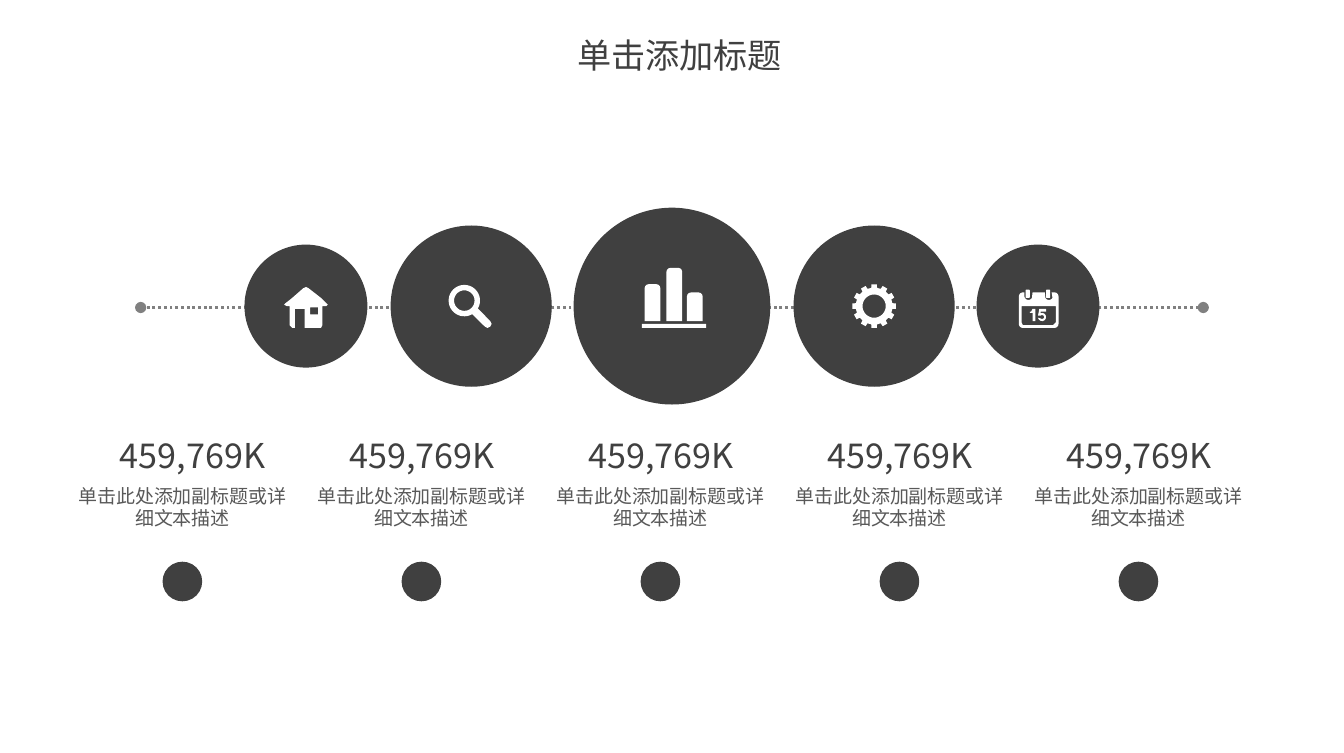
from dataclasses import dataclass
from math import cos, radians, sin

from lxml.etree import SubElement
from pptx import Presentation
from pptx.dml.color import RGBColor
from pptx.enum.dml import MSO_LINE
from pptx.enum.shapes import MSO_CONNECTOR, MSO_SHAPE as Preset
from pptx.enum.text import MSO_ANCHOR, MSO_AUTO_SIZE, PP_ALIGN
from pptx.oxml.ns import qn
from pptx.util import Inches, Pt


@dataclass(frozen=True)
class Theme:
    font: str = "Noto Sans CJK SC"
    dark: str = "404040"
    body: str = "595959"
    line: str = "808080"
    white: str = "FFFFFF"
    large: int = 18
    small: int = 10


theme = Theme()
presentation = Presentation()
presentation.slide_width = Inches(9.84)
presentation.slide_height = Inches(5.51)
slide = presentation.slides.add_slide(presentation.slide_layouts[6])
shapes = slide.shapes
painted = []  # (shape, colour)


def arc(x, y, radius, start, end, steps=8):
    """Points along a circle, angles in degrees, clockwise from the right."""
    angles = [radians(start + (end - start) * i / steps) for i in range(steps + 1)]
    return [(x + radius * cos(a), y + radius * sin(a)) for a in angles]


def add_outline(*contours):
    """One white icon part; contours after the first are holes."""
    builder = None
    for contour in contours:
        points = [(Inches(x), Inches(y)) for x, y in contour]
        if builder is None:
            builder = shapes.build_freeform(*points[0])
        else:
            builder.move_to(*points[0])
        builder.add_line_segments(points[1:], close=True)
    painted.append((builder.convert_to_shape(), theme.white))


# Dotted axis with round ends
axis = shapes.add_connector(
    MSO_CONNECTOR.STRAIGHT, Inches(8.81), Inches(2.25), Inches(1.03), Inches(2.25))
axis.line.color.rgb = RGBColor.from_string(theme.line)
axis.line.width = Pt(1.5)
axis.line.dash_style = MSO_LINE.ROUND_DOT
axis_properties = axis._element.spPr
for end in ("a:headEnd", "a:tailEnd"):
    SubElement(axis_properties.find(qn("a:ln")), qn(end), type="oval")
SubElement(axis_properties, qn("a:effectLst"))

# Circles on the axis: centre x, diameter
for center, size in ((2.24, 0.9), (3.45, 1.18), (4.92, 1.44), (6.4, 1.18), (7.6, 0.9)):
    circle = shapes.add_shape(Preset.OVAL, Inches(center - size / 2),
                              Inches(2.24 - size / 2), Inches(size), Inches(size))
    painted.append((circle, theme.dark))

# House icon
add_outline(
    [(2.39, 2.22), (2.35, 2.18), (2.26, 2.11), (2.24, 2.1), (2.22, 2.11), (2.14, 2.18),
     (2.09, 2.22), (2.08, 2.23), (2.1, 2.24), (2.12, 2.24), (2.12, 2.38), (2.14, 2.4),
     (2.16, 2.4), (2.16, 2.26), (2.23, 2.26), (2.23, 2.4), (2.35, 2.4), (2.36, 2.38),
     (2.36, 2.24), (2.39, 2.24), (2.4, 2.23)],
    [(2.27, 2.25), (2.33, 2.25), (2.33, 2.3), (2.27, 2.3)])

# Magnifier icon
add_outline(
    arc(3.4, 2.2, 0.115, 30, -300, 36)
    + [(3.55, 2.39), (3.57, 2.4), (3.59, 2.39), (3.6, 2.37), (3.59, 2.35)],
    arc(3.4, 2.2, 0.075, 0, 360, 36))

# Bar icon: left, top of each bar
for left, top in ((4.72, 2.08), (4.88, 1.96), (5.03, 2.14)):
    bar = shapes.add_shape(Preset.ROUND_2_SAME_RECTANGLE, Inches(left), Inches(top),
                           Inches(0.115), Inches(2.35 - top))
    bar.adjustments[0] = 0.25
    painted.append((bar, theme.white))
base = shapes.add_shape(
    Preset.RECTANGLE, Inches(4.7), Inches(2.37), Inches(0.47), Inches(0.03))
painted.append((base, theme.white))

# Gear icon with twelve teeth
gear = []
for tooth in range(0, 360, 30):
    for radius, offset in ((0.135, -9), (0.16, -7), (0.16, 7), (0.135, 9)):
        gear += arc(6.4, 2.24, radius, tooth + offset, tooth + offset, 1)[:1]
add_outline(gear, arc(6.4, 2.24, 0.085, 0, 360, 36))

# Calendar icon: body, rings, digits
add_outline(
    arc(7.49, 2.17, 0.03, 180, 270)
    + [(7.5, 2.14), (7.5, 2.17)] + arc(7.53, 2.165, 0.03, 150, 30)
    + [(7.56, 2.14), (7.65, 2.14)] + arc(7.68, 2.165, 0.03, 150, 30)
    + [(7.7, 2.14)] + arc(7.72, 2.17, 0.03, 270, 360)
    + arc(7.72, 2.37, 0.03, 0, 90) + arc(7.49, 2.37, 0.03, 90, 180),
    [(7.48, 2.24), (7.73, 2.24), (7.73, 2.36), (7.71, 2.38), (7.49, 2.38), (7.48, 2.36)])
for left in (7.51, 7.66):
    ring = shapes.add_shape(Preset.ROUNDED_RECTANGLE, Inches(left), Inches(2.12),
                            Inches(0.03), Inches(0.06))
    painted.append((ring, theme.white))
add_outline([(7.56, 2.35), (7.58, 2.35), (7.58, 2.26), (7.56, 2.26), (7.55, 2.28),
             (7.54, 2.28), (7.54, 2.29), (7.56, 2.29)])
add_outline(
    [(7.66, 2.26), (7.61, 2.26), (7.6, 2.31), (7.62, 2.31)]
    + arc(7.63, 2.32, 0.015, -120, 140)
    + [(7.6, 2.325)] + arc(7.63, 2.32, 0.03, 140, -110)
    + [(7.62, 2.28), (7.66, 2.28)])

# Text: words, left, top, width, height, size, colour, wrap
texts = [("单击添加标题", 4.22, 0.25, 1.51, 0.3, theme.large, theme.dark, False)]
for column in range(5):
    shift = 1.75 * column
    number_left = 0.87 if column == 0 else 0.8 + shift
    texts += [
        ("459,769K", number_left, 3.18, 1.08, 0.3, theme.large, theme.dark, False),
        ("单击此处添加副标题或详细文本描述", 0.54 + shift, 3.54, 1.59, 0.34,
         theme.small, theme.body, True)]
    dot = shapes.add_shape(Preset.OVAL, Inches(1.19 + shift), Inches(4.11),
                           Inches(0.29), Inches(0.29))
    painted.append((dot, theme.dark))

frame_format = {"margin_left": 0, "margin_right": 0, "margin_top": 0, "margin_bottom": 0,
                "vertical_anchor": MSO_ANCHOR.MIDDLE,
                "auto_size": MSO_AUTO_SIZE.SHAPE_TO_FIT_TEXT}
for words, left, top, width, height, size, color, wrap in texts:
    box = shapes.add_textbox(Inches(left), Inches(top), Inches(width), Inches(height))
    frame = box.text_frame
    for name, value in {**frame_format, "word_wrap": wrap}.items():
        setattr(frame, name, value)
    paragraph = frame.paragraphs[0]
    paragraph.alignment = PP_ALIGN.CENTER
    run = paragraph.add_run()
    run.text = words
    for name, value in {"name": theme.font, "size": Pt(size)}.items():
        setattr(run.font, name, value)
    run.font.color.rgb = RGBColor.from_string(color)
    SubElement(run._r.get_or_add_rPr(), qn("a:ea"), typeface=theme.font)

# Flat fills without line or shadow
for shape, color in painted:
    shape.shadow.inherit = False
    shape.fill.solid()
    shape.fill.fore_color.rgb = RGBColor.from_string(color)
    shape.line.fill.background()

presentation.save("out.pptx")
